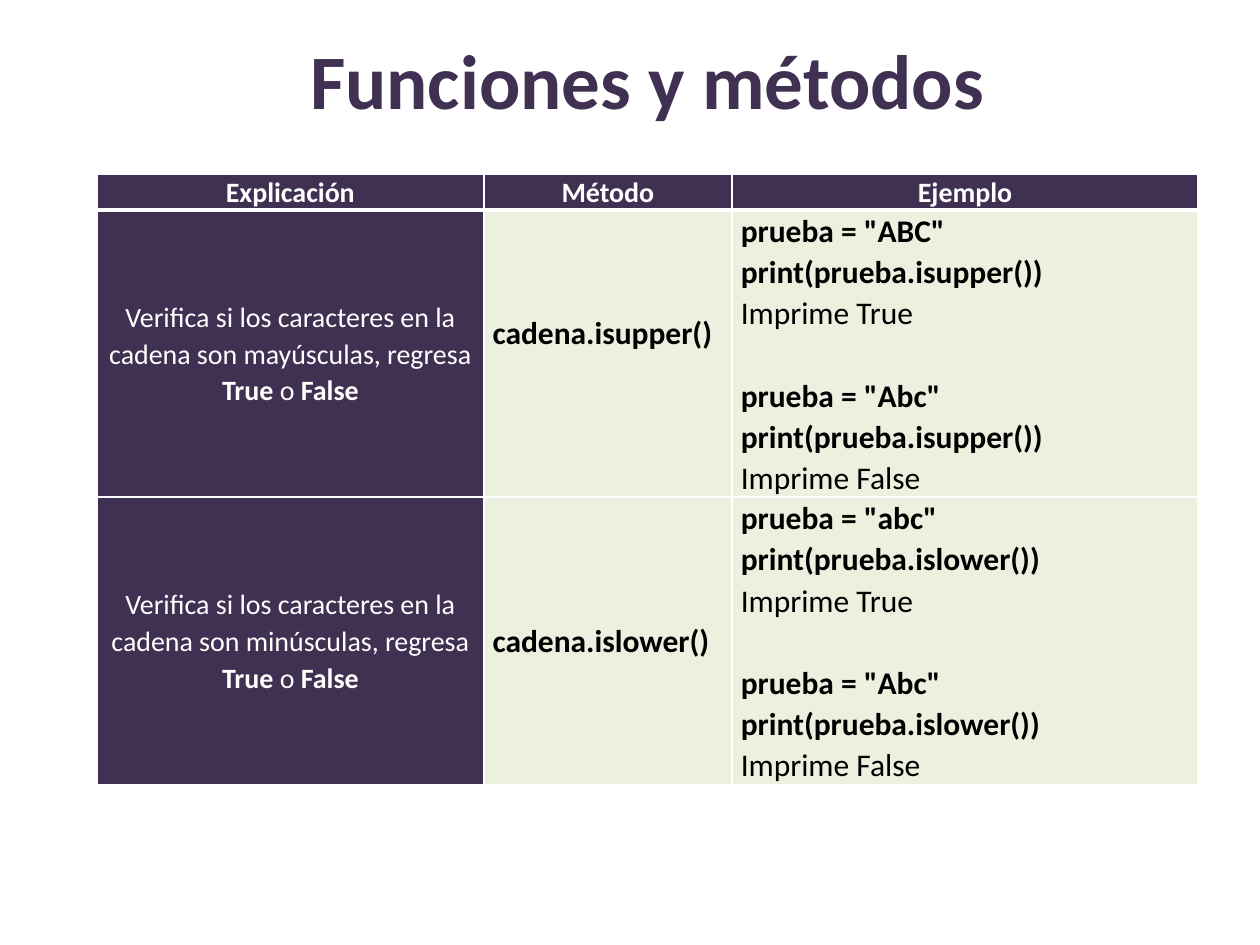
from dataclasses import dataclass

from lxml.etree import SubElement
from pptx import Presentation
from pptx.dml.color import RGBColor
from pptx.enum.text import MSO_ANCHOR as Anchor, PP_ALIGN as Align
from pptx.oxml.ns import qn
from pptx.table import _Cell as Cell
from pptx.text.text import _Paragraph as Para
from pptx.util import Inches, Pt

PLUM = RGBColor(0x40, 0x31, 0x52)
LIME = RGBColor(0xEB, 0xF1, 0xDE)
WHITE = RGBColor(0xFF, 0xFF, 0xFF)
BLACK = RGBColor(0, 0, 0)

FACE = "Calibri"
WIDE, HIGH = Inches(10), Inches(7.5)
COLS = (3.07, 1.97, 3.7)
ROWS = (0.28, 2.28, 2.28)
HEADS = ("Explicación", "Método", "Ejemplo")
GAP = Pt(23.5)  # one line of code


@dataclass(frozen=True)
class Style:
    size: int
    color: RGBColor
    align: Align = Align.LEFT
    bold: bool = True
    lead: float = 1.07


TITLE = Style(44, PLUM, Align.CENTER, lead=1.0)
HEAD = Style(16, WHITE, Align.CENTER)
NOTE = Style(16, WHITE, Align.CENTER, bold=False)
CODE = Style(18, BLACK)
PRINT = Style(18, BLACK, bold=False)


@dataclass(frozen=True)
class Method:
    name: str
    kind: str
    tests: tuple[str, str]
    lift: float = 0  # bottom inset of the name cell, in inches


METHODS = (
    Method("isupper", "mayúsculas", ("ABC", "Abc"), lift=0.33),
    Method("islower", "minúsculas", ("abc", "Abc")),
)


def format_para(para: Para, style: Style) -> None:
    para.alignment = style.align
    para.line_spacing = style.lead
    font = para.font
    font.name, font.size, font.bold = FACE, Pt(style.size), style.bold
    font.color.rgb = style.color


def write(para: Para, text: str, style: Style) -> None:
    format_para(para, style)
    para.add_run().text = text


def draw_edges(cell: Cell, base: float) -> None:
    """Draw white borders, the bottom one base points wide."""
    props = cell._tc.get_or_add_tcPr()
    for at, (side, width) in enumerate(
        (("L", 1), ("R", 1), ("T", 1), ("B", base))
    ):
        line = SubElement(props, qn(f"a:ln{side}"), w=str(Pt(width)))
        fill = SubElement(line, qn("a:solidFill"))
        SubElement(fill, qn("a:srgbClr"), val=str(WHITE))
        props.insert(at, line)


def set_cell(cell: Cell, fill: RGBColor, inset: float = 0.07,
             anchor: Anchor = Anchor.MIDDLE, lift: float = 0,
             base: float = 1) -> Para:
    """Style a cell and return its first paragraph."""
    cell.fill.solid()
    cell.fill.fore_color.rgb = fill
    cell.margin_left = cell.margin_right = Inches(inset)
    cell.margin_top, cell.margin_bottom = 0, Inches(lift)
    cell.vertical_anchor = anchor
    draw_edges(cell, base)
    return cell.text_frame.paragraphs[0]


def write_note(para: Para, kind: str) -> None:
    format_para(para, NOTE)
    intro = f"Verifica si los caracteres en la cadena son {kind}, regresa "
    for text, bold in ((intro, False), ("True", True),
                       (" o ", False), ("False", True)):
        run = para.add_run()
        run.text, run.font.bold = text, bold


def write_tests(cell: Cell, method: Method) -> None:
    para = set_cell(cell, LIME)
    frame = cell.text_frame
    for turn, (word, result) in enumerate(zip(method.tests, (True, False))):
        if turn:
            para = frame.add_paragraph()
            para.space_before = GAP
        write(para, f'prueba = "{word}"', CODE)
        write(frame.add_paragraph(), f"print(prueba.{method.name}())", CODE)
        write(frame.add_paragraph(), f"Imprime {result}", PRINT)


def add_title(slide, text: str) -> None:
    box = slide.shapes.add_textbox(
        int(WIDE * 0.114), 0, int(WIDE * 0.8), int(HIGH / 6))
    frame = box.text_frame
    frame.word_wrap = True
    frame.vertical_anchor = Anchor.MIDDLE
    write(frame.paragraphs[0], text, TITLE)


def add_grid(slide) -> None:
    table = slide.shapes.add_table(
        len(ROWS), len(COLS), Inches(0.77), Inches(1.38),
        Inches(sum(COLS)), Inches(sum(ROWS))).table
    for col, width in zip(table.columns, COLS):
        col.width = Inches(width)
    for row, height in zip(table.rows, ROWS):
        row.height = Inches(height)
    for at, head in enumerate(HEADS):
        para = set_cell(table.cell(0, at), PLUM, 0.03, Anchor.TOP, base=3)
        write(para, head, HEAD)
    for at, method in enumerate(METHODS, 1):
        write_note(set_cell(table.cell(at, 0), PLUM), method.kind)
        name = set_cell(table.cell(at, 1), LIME, lift=method.lift)
        write(name, f"cadena.{method.name}()", CODE)
        write_tests(table.cell(at, 2), method)


def main() -> None:
    deck = Presentation()
    deck.slide_width, deck.slide_height = WIDE, HIGH
    slide = deck.slides.add_slide(deck.slide_layouts[6])
    add_title(slide, "Funciones y métodos")
    add_grid(slide)
    deck.save("out.pptx")


if __name__ == "__main__":
    main()
